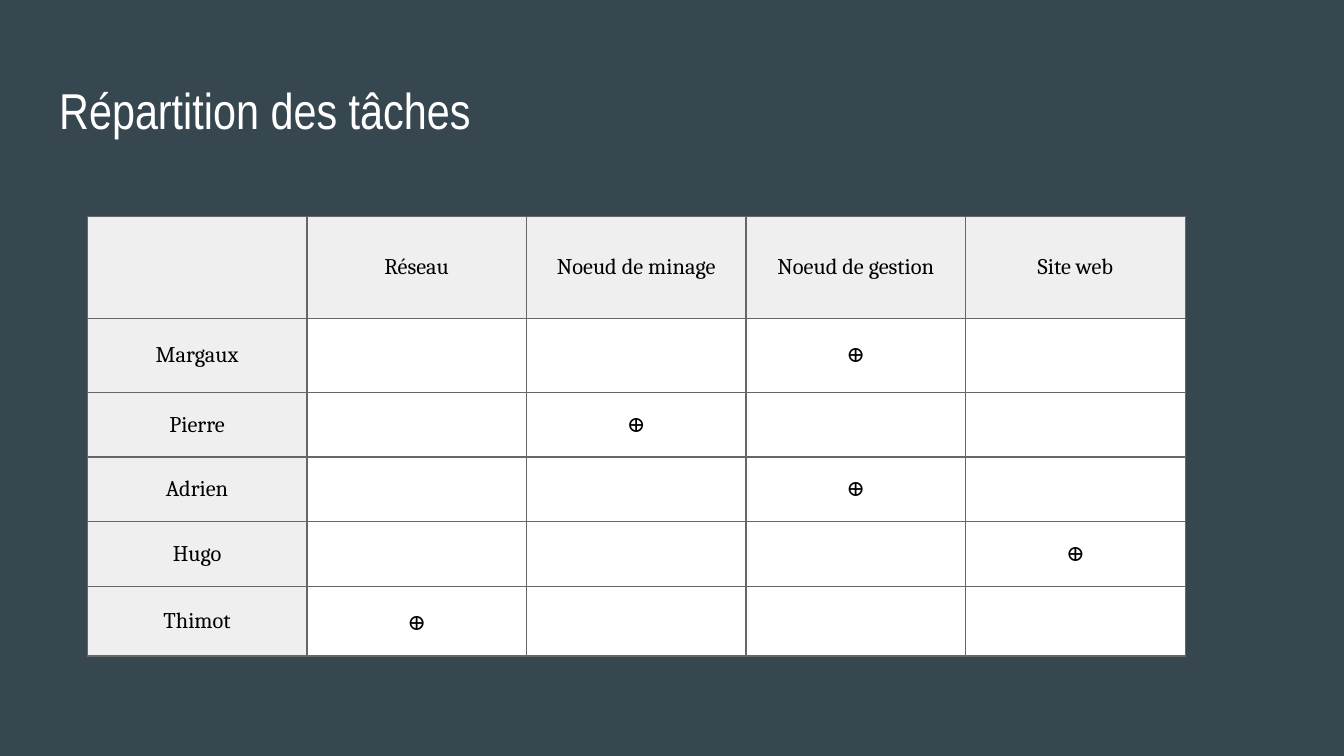
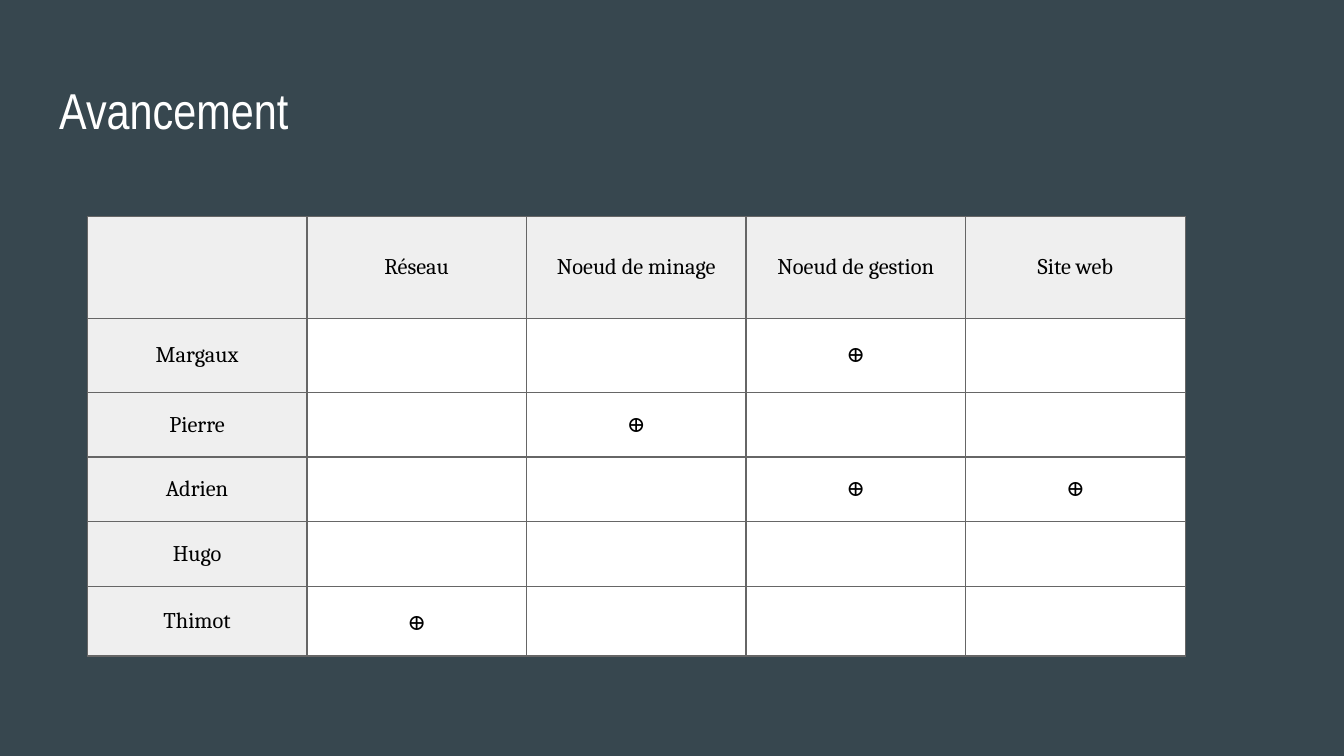
from lxml import etree
from pptx import Presentation
from pptx import util as u
from pptx.dml.color import RGBColor
from pptx.enum import text
from pptx.oxml.ns import qn

SLATE = RGBColor(0x37, 0x47, 0x4F)
WHITE = RGBColor(0xFF, 0xFF, 0xFF)
BLACK = RGBColor(0x00, 0x00, 0x00)
HEADER = RGBColor(0xEF, 0xEF, 0xEF)
BORDER = RGBColor(0x66, 0x66, 0x66)

TASKS = ["Réseau", "Noeud de minage", "Noeud de gestion", "Site web"]
MEMBERS = ["Margaux", "Pierre", "Adrien", "Hugo", "Thimot"]
ROW_HEIGHTS = [1.93, 1.4, 1.22, 1.22, 1.22, 1.32]
COL_WIDTH = 4.15
MARK = "⊕"

SLIDES = [
    ("Répartition des tâches", {
        "Margaux": ["Noeud de gestion"],
        "Pierre": ["Noeud de minage"],
        "Adrien": ["Noeud de gestion"],
        "Hugo": ["Site web"],
        "Thimot": ["Réseau"],
    }),
    ("Avancement", {
        "Margaux": ["Noeud de gestion"],
        "Pierre": ["Noeud de minage"],
        "Adrien": ["Noeud de gestion", "Site web"],
        "Hugo": [],
        "Thimot": ["Réseau"],
    }),
]


def add_run(p, words, font, size, color):
    r = p.add_run()
    r.text = words
    r.font.name = font
    r.font.size = u.Pt(size)
    r.font.color.rgb = color


def set_borders(cell):
    tcPr = cell._tc.get_or_add_tcPr()
    for i, side in enumerate(["lnL", "lnR", "lnT", "lnB"]):
        ln = etree.Element(qn("a:" + side), w=str(u.Pt(0.75)))
        fill = etree.SubElement(ln, qn("a:solidFill"))
        etree.SubElement(fill, qn("a:srgbClr"), val=str(BORDER))
        tcPr.insert(i, ln)


prs = Presentation()
prs.slide_width = u.Cm(25.4)
prs.slide_height = u.Cm(14.29)

for title, marks in SLIDES:
    s = prs.slides.add_slide(prs.slide_layouts[6])
    s.background.fill.solid()
    s.background.fill.fore_color.rgb = SLATE

    sp = s.shapes.add_textbox(u.Cm(0.87), u.Cm(1.24), u.Cm(23.67), u.Cm(1.6))
    tf = sp.text_frame
    tf.word_wrap = True
    tf.margin_left = tf.margin_right = u.Cm(0.25)
    tf.margin_top = tf.margin_bottom = u.Cm(0.25)
    add_run(tf.paragraphs[0], title, "Arial Narrow", 27, WHITE)

    rows = [[""] + TASKS]
    for member in MEMBERS:
        rows.append([member] + [MARK if task in marks[member] else "" for task in TASKS])

    sp = s.shapes.add_table(len(rows), len(rows[0]), u.Cm(1.65), u.Cm(4.09),
                            u.Cm(COL_WIDTH * len(rows[0])), u.Cm(sum(ROW_HEIGHTS)))
    table = sp.table
    for col in table.columns:
        col.width = u.Cm(COL_WIDTH)
    for row, height in zip(table.rows, ROW_HEIGHTS):
        row.height = u.Cm(height)

    for i, row in enumerate(rows):
        for j, words in enumerate(row):
            cell = table.cell(i, j)
            cell.fill.solid()
            cell.fill.fore_color.rgb = HEADER if i == 0 or j == 0 else WHITE
            set_borders(cell)
            cell.vertical_anchor = text.MSO_ANCHOR.MIDDLE
            cell.margin_left = cell.margin_right = u.Cm(0.18)
            cell.margin_top = cell.margin_bottom = u.Cm(0.18)
            if words:
                p = cell.text_frame.paragraphs[0]
                p.alignment = text.PP_ALIGN.CENTER
                if words == MARK and i == len(MEMBERS):
                    p.line_spacing = 1.15
                add_run(p, words, "Cambria", 12, BLACK)

prs.save("out.pptx")
